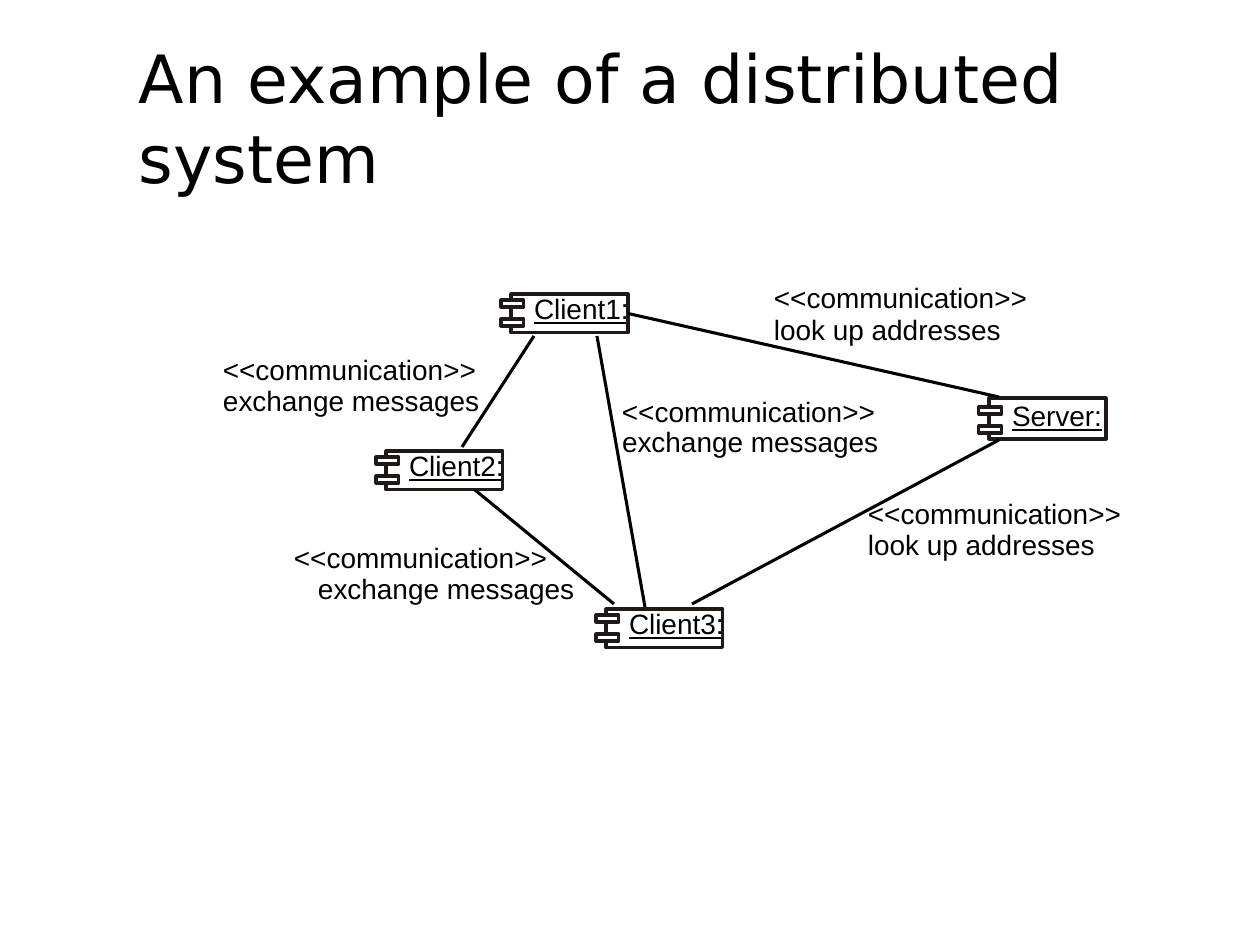
from pptx import Presentation
from pptx.dml.color import RGBColor
from pptx.enum.shapes import MSO_CONNECTOR, MSO_SHAPE
from pptx.enum.text import MSO_ANCHOR, MSO_AUTO_SIZE, PP_ALIGN
from pptx.oxml.ns import qn
from pptx.util import Emu, Pt
from lxml.etree import SubElement

SCALE = 914400 / 126
COLORS = {"text": "000000", "link": "000000", "outline": "1F1A17", "fill": "FFFFFF"}
LINE_STEP = 31
TEXT_HEIGHT = 34
COMMUNICATION = "<<communication>>"
COMPONENTS = {
    "Client2:": dict(x=386, y=451),
    "Server:": dict(x=989, y=398, h=41, drop=3),
    "Client1:": dict(x=511, y=294),
    "Client3:": dict(x=606, y=609),
}
LINKS = [
    ((462, 447), (534, 336)),
    ((597, 336), (645, 607)),
    ((475, 490), (614, 604)),
    ((692, 604), (999, 440)),
]
LABELS = [
    (868, 497, "look up addresses", 0),
    (294, 541, "exchange messages", 24),
    (223, 353, "exchange messages", 0),
    (622, 394, "exchange messages", 0),
    (774, 281, "look up addresses", 0),
]
WIDTHS = {COMMUNICATION: 255, "look up addresses": 228, "exchange messages": 258}


def px(n):
    """Turn pixels into EMU."""
    return Emu(round(n * SCALE))


def rgb(name):
    """Look up a named colour."""
    return RGBColor.from_string(COLORS[name])


def write(tf, text, size=16, font="Arial", underline=None, align=PP_ALIGN.LEFT):
    """Put one formatted run into a text frame."""
    p = tf.paragraphs[0]
    p.alignment = align
    r = p.add_run()
    r.text = text
    r.font.size, r.font.name = Pt(size), font
    r.font.underline = underline
    r.font.color.rgb = rgb("text")


def add_title(s, text):
    """Place and format the title placeholder."""
    sp = s.shapes.title
    sp.left, sp.top, sp.width, sp.height = px(126), px(38), px(1071), px(158)
    tf = sp.text_frame
    tf.word_wrap, tf.auto_size = True, MSO_AUTO_SIZE.NONE
    tf.vertical_anchor = MSO_ANCHOR.MIDDLE
    write(tf, text, size=38, font="DejaVu Sans")


def add_text(s, x, y, w, text, **fmt):
    """Add a tight single-line text box."""
    tf = s.shapes.add_textbox(px(x), px(y), px(w), px(TEXT_HEIGHT)).text_frame
    tf.margin_left = tf.margin_top = tf.margin_right = tf.margin_bottom = 0
    tf.word_wrap, tf.auto_size = False, MSO_AUTO_SIZE.SHAPE_TO_FIT_TEXT
    write(tf, text, **fmt)


def add_rect(s, x, y, w, h, filled=True, outlined=True):
    """Add a rectangle with an optional fill and outline."""
    sp = s.shapes.add_shape(MSO_SHAPE.RECTANGLE, px(x), px(y), px(w), px(h))
    sp.shadow.inherit = False
    if filled:
        sp.fill.solid()
        sp.fill.fore_color.rgb = rgb("fill")
    else:
        sp.fill.background()
    if outlined:
        sp.line.color.rgb, sp.line.width = rgb("outline"), Pt(1.75)
    else:
        sp.line.fill.background()
    return sp


def add_component(s, name, x, y, h=39, drop=0):
    """Add a UML component: name, body and two lugs; return the body."""
    add_text(s, x + 23, y - 2 + drop, 97, name, underline=True)
    body = add_rect(s, x, y, 117, h, filled=False)
    for lug_y in (y + 6 + drop, y + 25 + drop):
        add_rect(s, x - 11, lug_y - 1, 25, 9, outlined=False)
        add_rect(s, x - 10, lug_y, 23, 7)
    return body


def add_link(s, start, end):
    """Add a straight line between two points."""
    c = s.shapes.add_connector(MSO_CONNECTOR.STRAIGHT, *map(px, start + end))
    c.line.color.rgb, c.line.width = rgb("link"), Pt(1.75)
    SubElement(c._element.spPr, qn("a:effectLst"))
    return c


def add_label(s, x, y, purpose, indent):
    """Add a two-line communication label."""
    add_text(s, x, y, WIDTHS[COMMUNICATION], COMMUNICATION)
    add_text(s, x + indent, y + LINE_STEP, WIDTHS[purpose], purpose)


def main():
    """Build the slide."""
    prs = Presentation()
    prs.slide_width, prs.slide_height = px(1260), px(945)
    s = prs.slides.add_slide(prs.slide_layouts[5])
    add_title(s, "An example of a distributed system")
    bodies = {name: add_component(s, name, **spot) for name, spot in COMPONENTS.items()}
    for start, end in LINKS:
        add_link(s, start, end)
    lookup = add_link(s, (628, 314), (999, 397))
    lookup.begin_connect(bodies["Client1:"], 3)
    for label in LABELS:
        add_label(s, *label)
    prs.save("out.pptx")


if __name__ == "__main__":
    main()
